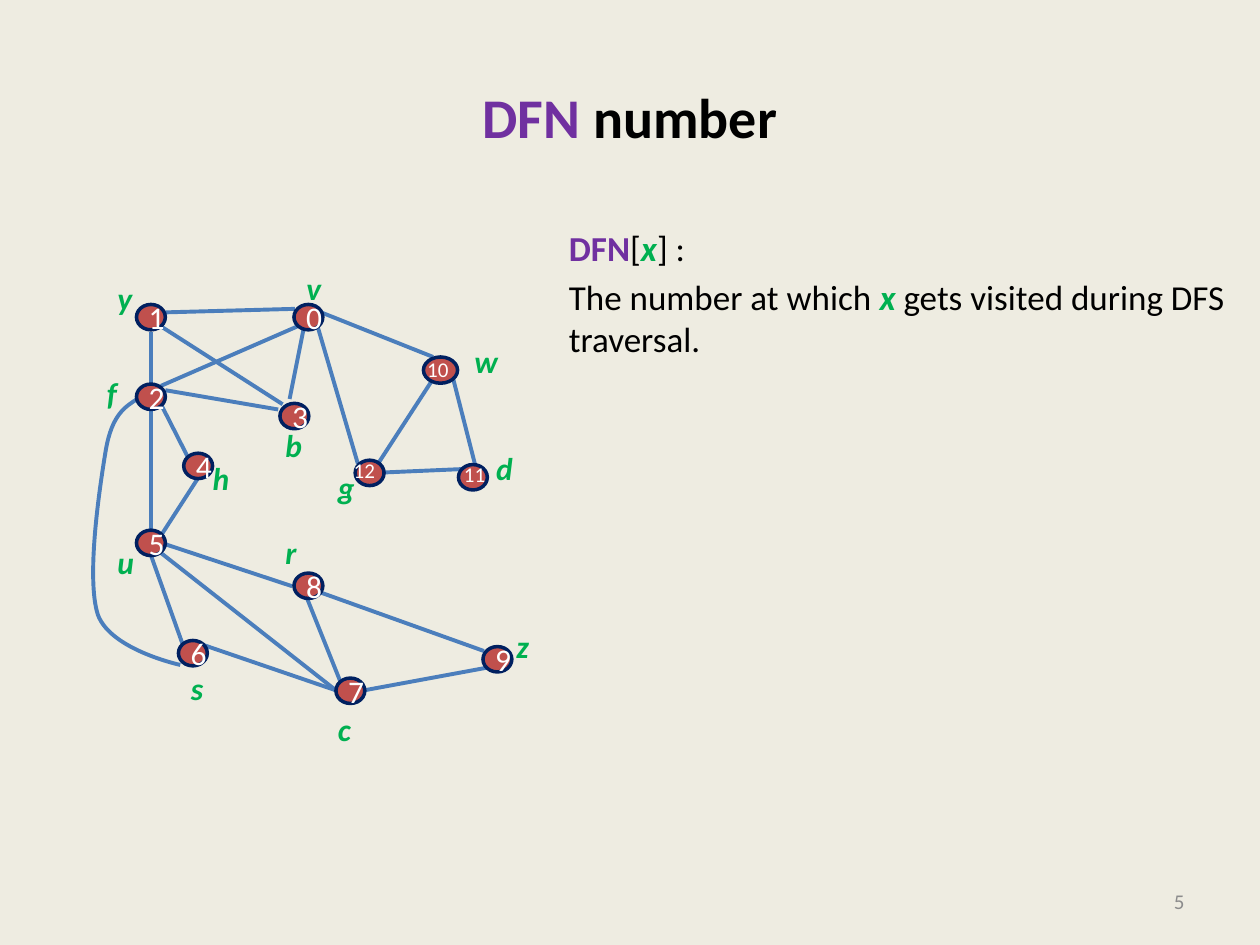
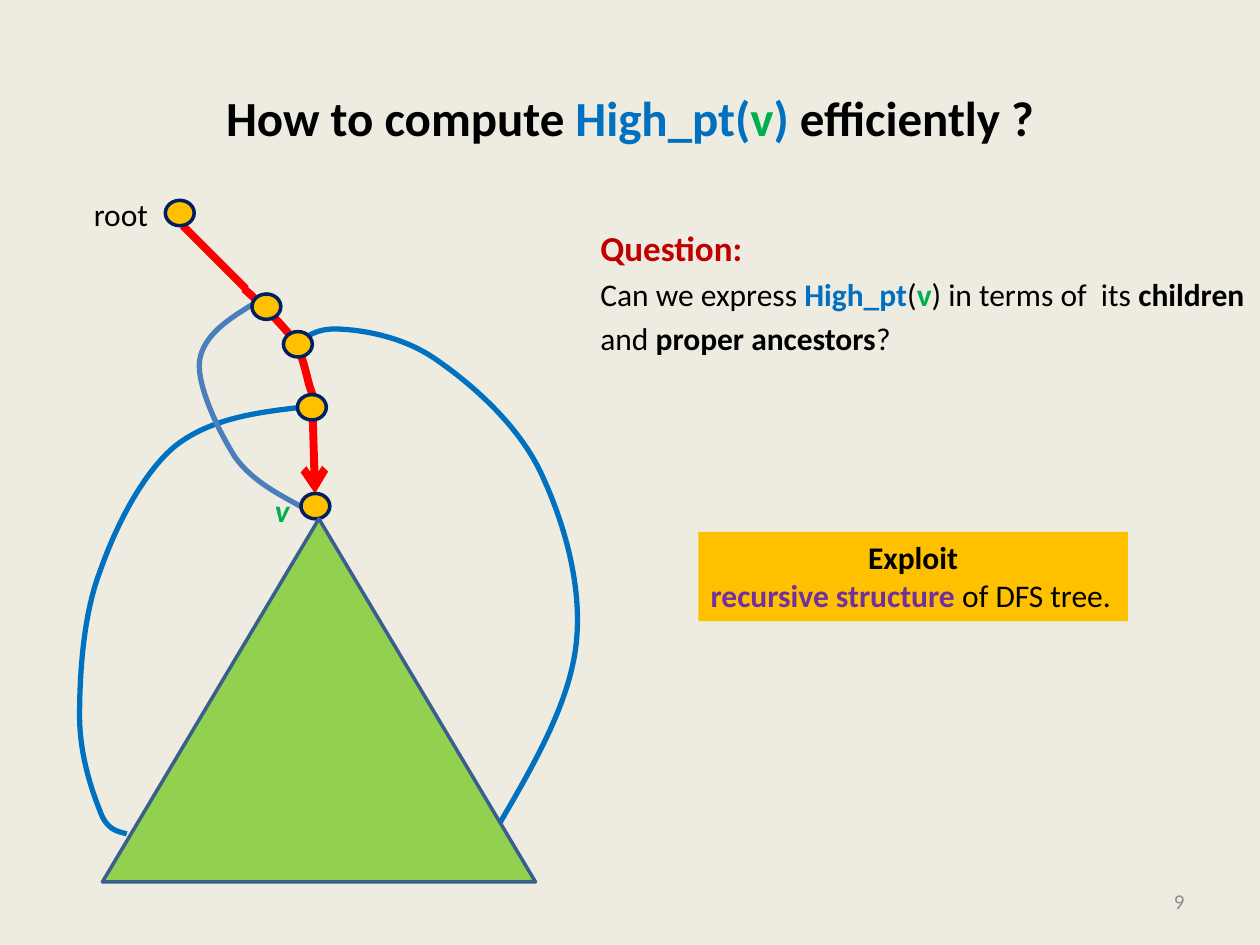
"""Build two slides on depth-first search: visit numbers and high points."""
from lxml.etree import SubElement
from pptx import Presentation
from pptx.dml.color import RGBColor
from pptx.enum.shapes import MSO_CONNECTOR as Connector, MSO_SHAPE as Preset
from pptx.enum.text import MSO_ANCHOR as Anchor, MSO_AUTO_SIZE as Fit, PP_ALIGN as Align
from pptx.oxml.ns import qn
from pptx.util import Pt

COLOURS = {
    "paper": "EEECE1", "black": "000000", "white": "FFFFFF", "grey": "8C8C8C",
    "purple": "7030A0", "green": "00B050", "blue": "0070C0", "crimson": "C00000",
    "edge": "4B7EBC", "red": "FF0000", "navy": "002060", "brick": "C0504D",
    "gold": "FFC000", "leaf": "92D050", "slate": "3A5F8C",
}
RGB = {name: RGBColor.from_string(value) for name, value in COLOURS.items()}
FONT = "Calibri"


def write(shape, rows, size, align=Align.LEFT, before=0):
    frame = shape.text_frame
    for index, row in enumerate(rows):
        para = frame.add_paragraph() if index else frame.paragraphs[0]
        para.alignment = align
        para.space_before = Pt(before)
        for text, colour, style in row:
            span = para.add_run()
            span.text = text
            span.font.name = FONT
            span.font.size = Pt(size)
            span.font.bold = "b" in style
            span.font.italic = "i" in style
            span.font.color.rgb = RGB[colour]


def paint(shape, fill, line, width):
    shape.shadow.inherit = False
    if fill:
        shape.fill.solid()
        shape.fill.fore_color.rgb = RGB[fill]
    else:
        shape.fill.background()
    if line:
        shape.line.color.rgb = RGB[line]
        shape.line.width = Pt(width)
    else:
        shape.line.fill.background()


deck = Presentation()
deck.slide_width, deck.slide_height = Pt(720), Pt(540)

slides = [
    {
        "number": "5", "title_size": 32, "body_size": 20, "body_at": (318, 126, 396, 390),
        "title": [("DFN", "purple", "b"), (" number", "black", "b")],
        "body": [
            [("DFN", "purple", "b"), ("[", "black", ""), ("x", "green", "bi"), ("] :", "black", "")],
            [("The number at which ", "black", ""), ("x", "green", "bi"),
             (" gets visited during DFS traversal.", "black", "")],
        ],
    },
    {
        "number": "9", "title_size": 28, "body_size": 18, "body_at": (336, 126, 384, 356),
        "title": [("How to compute ", "black", "b"), ("High_pt(", "blue", "b"), ("v", "green", "b"),
                  (") ", "blue", "b"), ("efficiently ?", "black", "b")],
        "body": [
            [("Question:", "crimson", "b")],
            [("Can we express ", "black", ""), ("High_pt", "blue", "b"), ("(", "black", ""),
             ("v", "green", "b"), (") in terms of  its ", "black", ""), ("children", "black", "b")],
            [("and ", "black", ""), ("proper ancestors", "black", "b"), ("?", "black", "")],
        ],
    },
]

pages = []
for content in slides:
    page = deck.slides.add_slide(deck.slide_layouts[6])
    page.background.fill.solid()
    page.background.fill.fore_color.rgb = RGB["paper"]
    pages.append(page)

    title = page.shapes.add_textbox(Pt(36), Pt(21.6), Pt(648), Pt(90))
    write(title, [content["title"]], content["title_size"], Align.CENTER)
    body = page.shapes.add_textbox(*map(Pt, content["body_at"]))
    write(body, content["body"], content["body_size"], before=content["body_size"] / 5)
    heading = body.text_frame.paragraphs[0]
    heading.space_before = Pt(4)
    for span in heading.runs:
        span.font.size = Pt(20)
    footer = page.shapes.add_textbox(Pt(516), Pt(500.5), Pt(168), Pt(28.75))
    write(footer, [[(content["number"], "grey", "")]], 12, Align.RIGHT)
    for box in (title, body, footer):
        box.text_frame.word_wrap = True
    for box in (title, footer):
        box.text_frame.vertical_anchor = Anchor.MIDDLE

graph_page, tree_page = pages

graph_edges = [
    (94.5, 311, 167, 335), (94.5, 223, 159, 234), (94.5, 178.5, 168.5, 176.5),
    (86.5, 189.5, 86.5, 219), (104.5, 368.5, 86.5, 318), (86.5, 232, 86.5, 303),
    (183.5, 178.5, 247.5, 204), (271.5, 265.5, 259, 216.5), (208, 394.5, 278.5, 381.5),
    (92, 231, 107.5, 261.5), (175.5, 342, 194.5, 389.5), (219, 270, 265.5, 268),
    (216, 265, 247.5, 216.5), (92, 316, 192, 394.5), (173.5, 188, 165.5, 228),
    (276.5, 372, 183, 338.5), (92, 186.5, 161.5, 231), (170, 186.5, 92, 220.5),
    (181.5, 186.5, 204.5, 265), (113, 273.5, 92, 306), (116, 368.5, 192, 394.5),
]
lines = [(graph_page, ends, "edge", 2.25, False) for ends in graph_edges] + [
    (tree_page, (178.5, 230.5, 180, 282), "red", 4.5, True),
    (tree_page, (104.5, 129, 140.5, 165), "red", 4.5, False),
]
for page, ends, colour, width, has_arrow in lines:
    link = page.shapes.add_connector(Connector.STRAIGHT, *map(Pt, ends))
    link.line.color.rgb = RGB[colour]
    link.line.width = Pt(width)
    if has_arrow:
        SubElement(link.line._get_or_add_ln(), qn("a:tailEnd"), type="arrow")
    SubElement(link.element.spPr, qn("a:effectLst"))

curves = [
    (graph_page, "edge", 2.25, [
        (78.5, 228), (71.5, 232.5), (64, 237), (60.5, 257), (57, 278),
        (49, 330.5), (56, 351.5), (63.5, 371.5), (103, 380), (103, 380)]),
    (tree_page, "red", 4.5, [
        (139.5, 165), (150.5, 175), (161, 185), (168, 194.5), (173.5, 204),
        (175, 214.5), (177, 221), (179.5, 227.5), (179.5, 230.5), (180, 233.5)]),
    (tree_page, "blue", 3, [
        (72.5, 476.5), (67, 475), (61, 474.5), (57, 463), (52.5, 451.5), (45.5, 431.5),
        (45.5, 409), (45.5, 386), (47.5, 352), (57, 327), (66, 301), (81.5, 270.5),
        (100, 255), (119, 240), (144, 236), (170, 233)]),
    (tree_page, "edge", 3, [
        (172, 289.5), (158.5, 282), (144.5, 275), (134.5, 261.5), (125.5, 247.5),
        (112.5, 221), (114, 206.5), (116, 191.5), (131, 182), (146, 173)]),
    (tree_page, "blue", 3, [
        (166.5, 200), (173, 193.5), (179.5, 187.5), (193, 188), (206.5, 188.5), (230.5, 192),
        (250, 206), (269.5, 219.5), (296, 242.5), (309, 270), (322, 297.5), (333.5, 335.5),
        (329, 370), (324.5, 404.5), (303, 440.5), (282, 476.5)]),
]
for page, colour, width, points in curves:
    start, *controls = [(Pt(x), Pt(y)) for x, y in points]
    builder = page.shapes.build_freeform(*start)
    builder.add_line_segments(controls, close=False)
    curve = builder.convert_to_shape()
    paint(curve, None, colour, width)
    segments = list(curve.element.iter(qn("a:lnTo")))
    for first in range(0, len(segments), 3):
        bezier, *rest = segments[first:first + 3]
        bezier.tag = qn("a:cubicBezTo")
        for segment in rest:
            bezier.append(segment[0])
            segment.getparent().remove(segment)

graph_nodes = [
    (168, 174), (78, 174), (78, 219.5), (160, 230.5), (105, 259), (78, 303), (102, 366),
    (192, 387.5), (168, 327.5), (276, 369.5), (242, 204), (262, 265.5), (203, 263),
]
for number, (left, top) in enumerate(graph_nodes):
    width, height = (19.5, 15) if number == 10 else (16.5, 14.5)
    node = graph_page.shapes.add_shape(Preset.OVAL, Pt(left), Pt(top), Pt(width), Pt(height))
    paint(node, "brick", "navy", 2)
    if number < 10:
        write(node, [[(str(number), "white", "")]], 18, Align.CENTER)

for left, top in [(94.5, 114.5), (144, 168), (162, 189.5), (170, 225.5), (172, 282)]:
    node = tree_page.shapes.add_shape(Preset.OVAL, Pt(left), Pt(top), Pt(16.5), Pt(14.5))
    paint(node, "gold", "navy", 2)

subtree = tree_page.shapes.add_shape(Preset.ISOSCELES_TRIANGLE, Pt(58.5), Pt(296.5), Pt(247.5), Pt(207.5))
paint(subtree, "leaf", "slate", 2)

vertex_labels = [
    ("z", 288, 355, 21.5), ("y", 60, 156, 23), ("c", 186, 402, 22), ("d", 276.5, 253, 24.5),
    ("b", 156, 240, 24.5), ("f", 54, 210, 20), ("g", 186, 264, 24.5), ("h", 114.5, 259, 24.5),
    ("u", 60, 307, 24.5), ("w", 264, 192, 28), ("v", 168, 150, 23), ("r", 156, 301, 21),
    ("s", 102, 379, 21.5),
]
visit_labels = [("10", 237, 200), ("11", 258, 260), ("12", 195, 258)]
labels = [(graph_page, *label, 29, 18, "green", "bi") for label in vertex_labels]
labels += [(graph_page, *label, 26.5, 21.5, 12, "white", "") for label in visit_labels]
labels += [
    (tree_page, "v", 150, 277, 23, 29, 18, "green", "bi"),
    (tree_page, "root", 46.5, 108, 46, 29, 18, "black", ""),
]
for page, text, left, top, width, height, size, colour, style in labels:
    box = page.shapes.add_textbox(Pt(left), Pt(top), Pt(width), Pt(height))
    box.text_frame.word_wrap = False
    box.text_frame.auto_size = Fit.SHAPE_TO_FIT_TEXT
    write(box, [[(text, colour, style)]], size)

hint = tree_page.shapes.add_shape(Preset.RECTANGLE, Pt(399), Pt(304), Pt(245.5), Pt(51))
paint(hint, "gold", None, 0)
hint.text_frame.word_wrap = False
hint.text_frame.auto_size = Fit.SHAPE_TO_FIT_TEXT
hint.text_frame.vertical_anchor = Anchor.TOP
write(hint, [
    [("Exploit", "black", "b")],
    [("recursive structure ", "purple", "b"), ("of DFS tree.", "black", "")],
], 18, Align.CENTER)
hint.text_frame.paragraphs[1].alignment = Align.LEFT

deck.save("out.pptx")
